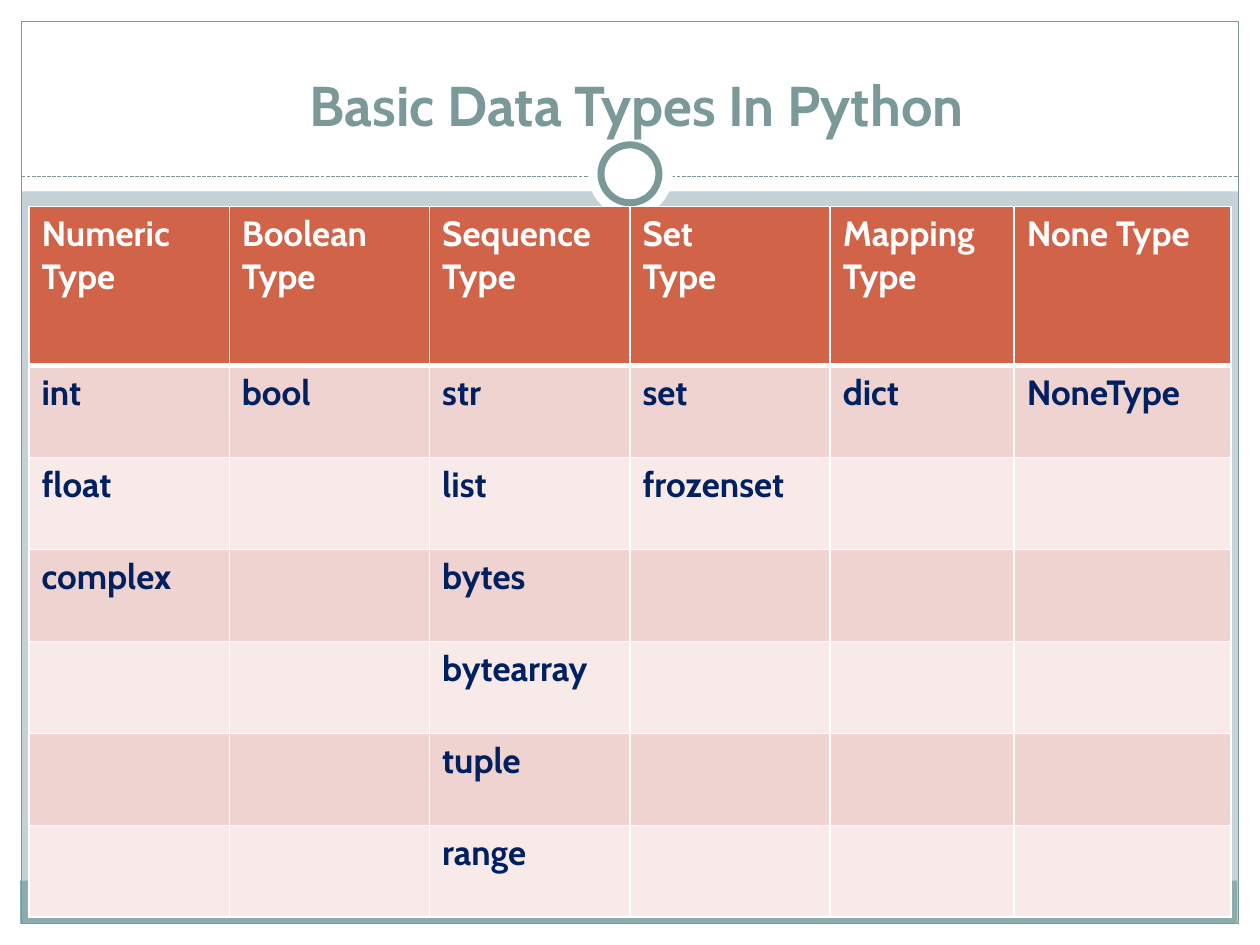
from dataclasses import dataclass
from itertools import zip_longest

from lxml import etree
from pptx import Presentation
from pptx import util as u
from pptx.dml.color import RGBColor
from pptx.enum import dml, shapes, text
from pptx.oxml.ns import qn


@dataclass(frozen=True)
class Theme:
    font: str = "Cabin"
    title_size: int = 32
    cell_size: int = 20
    page: str = "C5D1D7"
    white: str = "FFFFFF"
    accent: str = "7C999A"
    footer: str = "8CADAE"
    header: str = "D16349"
    ink: str = "002060"
    bands: tuple = ("EED3D0", "F7EAE9")


@dataclass(frozen=True)
class Panel:
    left: float
    top: float
    width: float
    height: float
    fill: str | None = None
    line: str | None = None
    weight: float = 0.75
    kind: shapes.MSO_SHAPE = shapes.MSO_SHAPE.RECTANGLE


@dataclass(frozen=True)
class TypeColumn:
    heading: str
    width: float
    members: tuple


THEME = Theme()
WIDTH, HEIGHT, MARGIN = 10, 7.5, 0.17
RULE_TOP = 1.4
HEADER_HEIGHT, ROW_HEIGHT = 1.26, 0.73
TABLE_LEFT, TABLE_TOP = 0.23, 1.64
OVAL = shapes.MSO_SHAPE.OVAL

FRAME = (
    Panel(0, HEIGHT - MARGIN, WIDTH, MARGIN, THEME.white),
    Panel(0, 0, WIDTH, 1.52, THEME.white),
    Panel(0, 0, MARGIN, HEIGHT, THEME.white),
    Panel(WIDTH - MARGIN, 0, MARGIN, HEIGHT, THEME.white),
    Panel(0.16, 6.99, WIDTH - 2 * MARGIN, 0.34, THEME.footer),
    Panel(MARGIN, MARGIN, WIDTH - 2 * MARGIN, HEIGHT - 2 * MARGIN, line=THEME.accent),
)
RING = (
    Panel(4.67, 1.05, 0.67, 0.67, THEME.white, kind=OVAL),
    Panel(4.77, 1.15, 0.46, 0.46, THEME.white, THEME.accent, 4, OVAL),
)
COLUMNS = (
    TypeColumn("Numeric Type", 1.59, ("int", "float", "complex")),
    TypeColumn("Boolean Type", 1.59, ("bool",)),
    TypeColumn("Sequence Type", 1.59, ("str", "list", "bytes", "bytearray", "tuple", "range")),
    TypeColumn("Set\nType", 1.59, ("set", "frozenset")),
    TypeColumn("Mapping Type", 1.46, ("dict",)),
    TypeColumn("None Type", 1.72, ("NoneType",)),
)


def rgb(value: str) -> RGBColor:
    return RGBColor.from_string(value)


def write(frame, words: str, *, size: int, color: str, align=text.PP_ALIGN.LEFT) -> None:
    """Fill a text frame, one paragraph for each line of words."""
    for index, line in enumerate(words.split("\n")):
        para = frame.paragraphs[0] if index == 0 else frame.add_paragraph()
        para.alignment = align
        span = para.add_run()
        span.text = line
        span.font.name, span.font.size, span.font.bold = THEME.font, u.Pt(size), True
        span.font.color.rgb = rgb(color)


def draw_panel(page, panel: Panel) -> None:
    box = page.shapes.add_shape(
        panel.kind, *map(u.Inches, (panel.left, panel.top, panel.width, panel.height)))
    box.shadow.inherit = False
    if panel.fill:
        box.fill.solid()
        box.fill.fore_color.rgb = rgb(panel.fill)
    else:
        box.fill.background()
    if panel.line:
        box.line.color.rgb = rgb(panel.line)
        box.line.width = u.Pt(panel.weight)
    else:
        box.line.fill.background()


def draw_rule(page) -> None:
    rule = page.shapes.add_connector(
        shapes.MSO_CONNECTOR.STRAIGHT,
        *map(u.Inches, (MARGIN, RULE_TOP, WIDTH - MARGIN, RULE_TOP)))
    rule.line.color.rgb = rgb(THEME.accent)
    rule.line.width = u.Pt(0.75)
    rule.line.dash_style = dml.MSO_LINE.SQUARE_DOT
    etree.SubElement(rule._element.spPr, qn("a:effectLst"))


def set_borders(cell, top: float, bottom: float) -> None:
    properties = cell._tc.get_or_add_tcPr()
    for side, weight in (("L", 1), ("R", 1), ("T", top), ("B", bottom)):
        edge = etree.SubElement(properties, qn(f"a:ln{side}"), w=str(u.Pt(weight)))
        fill = etree.SubElement(edge, qn("a:solidFill"))
        etree.SubElement(fill, qn("a:srgbClr"), val=THEME.white)


def draw_table(page) -> None:
    rows = [[column.heading for column in COLUMNS],
            *zip_longest(*(column.members for column in COLUMNS), fillvalue="")]
    heights = [HEADER_HEIGHT] + [ROW_HEIGHT] * (len(rows) - 1)
    table = page.shapes.add_table(
        len(rows), len(COLUMNS), u.Inches(TABLE_LEFT), u.Inches(TABLE_TOP),
        u.Inches(sum(column.width for column in COLUMNS)), u.Inches(sum(heights))).table
    table.horz_banding = False
    for index, column in enumerate(COLUMNS):
        table.columns[index].width = u.Inches(column.width)
    for r, row in enumerate(rows):
        table.rows[r].height = u.Inches(heights[r])
        for c, words in enumerate(row):
            cell = table.cell(r, c)
            # A heavier edge divides the header from the body
            set_borders(cell, top=3 if r == 1 else 1, bottom=3 if r == 0 else 1)
            cell.fill.solid()
            cell.fill.fore_color.rgb = rgb(THEME.bands[(r - 1) % 2] if r else THEME.header)
            if words:
                write(cell.text_frame, words, size=THEME.cell_size,
                      color=THEME.ink if r else THEME.white)


def draw_title(page) -> None:
    title = page.shapes.title
    title.left, title.top, title.width, title.height = map(u.Inches, (0.39, 0.31, 9.33, 0.83))
    title.text_frame.vertical_anchor = text.MSO_ANCHOR.BOTTOM
    title.text_frame.word_wrap = True
    write(title.text_frame, "Basic Data Types In Python", size=THEME.title_size,
          color=THEME.accent, align=text.PP_ALIGN.CENTER)
    # Bring the title in front of the frame
    page.shapes._spTree.append(title._element)


def main() -> None:
    deck = Presentation()
    deck.slide_width, deck.slide_height = u.Inches(WIDTH), u.Inches(HEIGHT)
    page = deck.slides.add_slide(deck.slide_layouts[5])
    page.background.fill.solid()
    page.background.fill.fore_color.rgb = rgb(THEME.page)

    # Frame, dashed rule and ring
    for panel in FRAME:
        draw_panel(page, panel)
    draw_rule(page)
    for panel in RING:
        draw_panel(page, panel)

    # Content
    draw_title(page)
    draw_table(page)
    deck.save("out.pptx")


if __name__ == "__main__":
    main()
